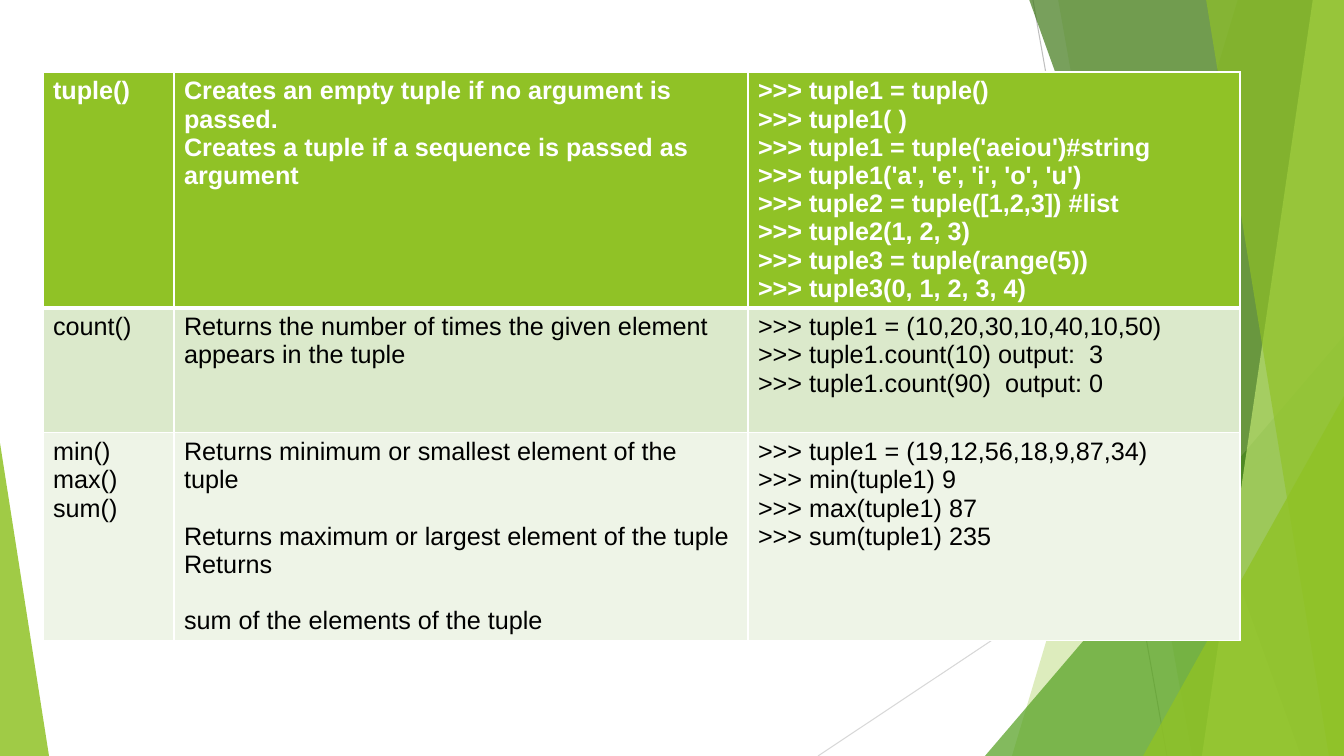
from dataclasses import dataclass

from lxml import etree
from pptx import Presentation
from pptx import util as u
from pptx.dml import color
from pptx.enum import shapes
from pptx.oxml import ns


@dataclass(frozen=True)
class Theme:
    font: str = "Arial"
    body_size: int = 18
    paragraph_gap: int = 20
    thin: float = 0.75
    border: int = 1
    header_border: int = 3
    white: str = "FFFFFF"
    black: str = "000000"
    lime: str = "90C226"
    pale_lime: str = "BFE471"
    green: str = "54A021"
    forest: str = "3F7818"
    grey: str = "BFBFBF"
    light_grey: str = "D8D8D8"
    band_dark: str = "DBE9CB"
    band_light: str = "EEF4E7"


WIDTH, HEIGHT = 1344, 756
EMU_PER_PX = 914400 / 100.8


def px(length):
    return u.Emu(round(length * EMU_PER_PX))


def rgb(code):
    return color.RGBColor.from_string(code)


class SlideBuilder:
    def __init__(self, slide, theme):
        self.slide = slide
        self.theme = theme

    def line(self, start, end, shade):
        edge = self.slide.shapes.add_connector(
            shapes.MSO_CONNECTOR.STRAIGHT, *map(px, start + end))
        edge.line.color.rgb = rgb(shade)
        edge.line.width = u.Pt(self.theme.thin)
        etree.SubElement(edge._element.spPr, ns.qn("a:effectLst"))

    def paint(self, facet, shade, opacity):
        facet.shadow.inherit = False
        facet.line.fill.background()
        facet.fill.solid()
        facet.fill.fore_color.rgb = rgb(shade)
        shade_xml = next(facet._element.iter(ns.qn("a:srgbClr")))
        etree.SubElement(shade_xml, ns.qn("a:alpha"), val=str(opacity * 1000))

    def panel(self, top_x, bottom_x, shade, opacity):
        outline = self.slide.shapes.build_freeform(px(top_x), px(-1), scale=1.0)
        corners = [(WIDTH, -1), (WIDTH, HEIGHT), (bottom_x, HEIGHT)]
        outline.add_line_segments([(px(x), px(y)) for x, y in corners])
        self.paint(outline.convert_to_shape(), shade, opacity)

    def triangle(self, left, top, width, apex, shade, opacity):
        facet = self.slide.shapes.add_shape(
            shapes.MSO_SHAPE.ISOSCELES_TRIANGLE,
            *map(px, (left, top, width, HEIGHT - top)))
        facet.adjustments[0] = apex
        self.paint(facet, shade, opacity)

    def borders(self, cell, top, bottom):
        properties = cell._tc.get_or_add_tcPr()
        side = self.theme.border
        for tag, width in zip(("lnL", "lnR", "lnT", "lnB"), (side, side, top, bottom)):
            edge = etree.SubElement(properties, ns.qn(f"a:{tag}"), w=str(u.Pt(width)))
            fill = etree.SubElement(edge, ns.qn("a:solidFill"))
            etree.SubElement(fill, ns.qn("a:srgbClr"), val=self.theme.white)

    def cell_text(self, cell, lines, shade, bold):
        frame = cell.text_frame
        for index, content in enumerate(lines):
            paragraph = frame.add_paragraph() if index else frame.paragraphs[0]
            if content in SPACED_LINES:
                paragraph.space_before = u.Pt(self.theme.paragraph_gap)
            run = paragraph.add_run()
            run.text = content
            run.font.name = self.theme.font
            run.font.size = u.Pt(self.theme.body_size)
            run.font.bold = bold
            run.font.color.rgb = rgb(shade)

    def table(self, left, top, widths, heights, content):
        theme = self.theme
        grid = self.slide.shapes.add_table(
            len(heights), len(widths),
            *map(px, (left, top, sum(widths), sum(heights)))).table
        grid.horz_banding = False
        for column, width in zip(grid.columns, widths):
            column.width = px(width)
        fills = (theme.lime, theme.band_dark, theme.band_light)
        for index, (row, height, fill) in enumerate(zip(grid.rows, heights, fills)):
            row.height = px(height)
            header = index == 0
            above = theme.header_border if index == 1 else theme.border
            below = theme.header_border if header else theme.border
            for cell, lines in zip(row.cells, content[index]):
                self.borders(cell, above, below)
                cell.fill.solid()
                cell.fill.fore_color.rgb = rgb(fill)
                self.cell_text(cell, lines, theme.white if header else theme.black, header)


SPACED_LINES = (
    "Returns maximum or largest element of the tuple Returns",
    "sum of the elements of the tuple",
)

TUPLE_FUNCTIONS = [
    [
        ["tuple()"],
        ["Creates an empty tuple if no argument is passed.",
         "Creates a tuple if a sequence is passed as argument"],
        [">>> tuple1 = tuple()",
         ">>> tuple1( )",
         ">>> tuple1 = tuple('aeiou')#string",
         ">>> tuple1('a', 'e', 'i', 'o', 'u')",
         ">>> tuple2 = tuple([1,2,3]) #list",
         ">>> tuple2(1, 2, 3)",
         ">>> tuple3 = tuple(range(5))",
         ">>> tuple3(0, 1, 2, 3, 4)"],
    ],
    [
        ["count()"],
        ["Returns the number of times the given element appears in the tuple"],
        [">>> tuple1 = (10,20,30,10,40,10,50)",
         ">>> tuple1.count(10) output:  3",
         ">>> tuple1.count(90)  output: 0"],
    ],
    [
        ["min()", "max()", "sum()"],
        ["Returns minimum or smallest element of the tuple", *SPACED_LINES],
        [">>> tuple1 = (19,12,56,18,9,87,34)",
         ">>> min(tuple1) 9",
         ">>> max(tuple1) 87",
         ">>> sum(tuple1) 235"],
    ],
]


def main():
    deck = Presentation()
    deck.slide_width, deck.slide_height = px(WIDTH), px(HEIGHT)
    theme = Theme()
    builder = SlideBuilder(deck.slides.add_slide(deck.slide_layouts[6]), theme)

    builder.line((1033, 0), (1167, HEIGHT), theme.grey)
    builder.line((WIDTH, 406), (818, HEIGHT), theme.light_grey)
    builder.panel(1238, 1012, theme.lime, 30)
    builder.panel(1058, 1192, theme.lime, 20)
    builder.triangle(985, 336, 359, 1, theme.green, 72)
    builder.panel(1029, 1301, theme.forest, 70)
    builder.panel(1313, 1202, theme.pale_lime, 70)
    builder.panel(1206, 1329, theme.lime, 65)
    builder.triangle(1143, 396, 201, 1, theme.lime, 80)
    builder.triangle(0, 443, 49, 0, theme.lime, 85)
    builder.table(43, 72, (131, 574, 492), (235, 125, 208), TUPLE_FUNCTIONS)

    deck.save("out.pptx")


if __name__ == "__main__":
    main()
